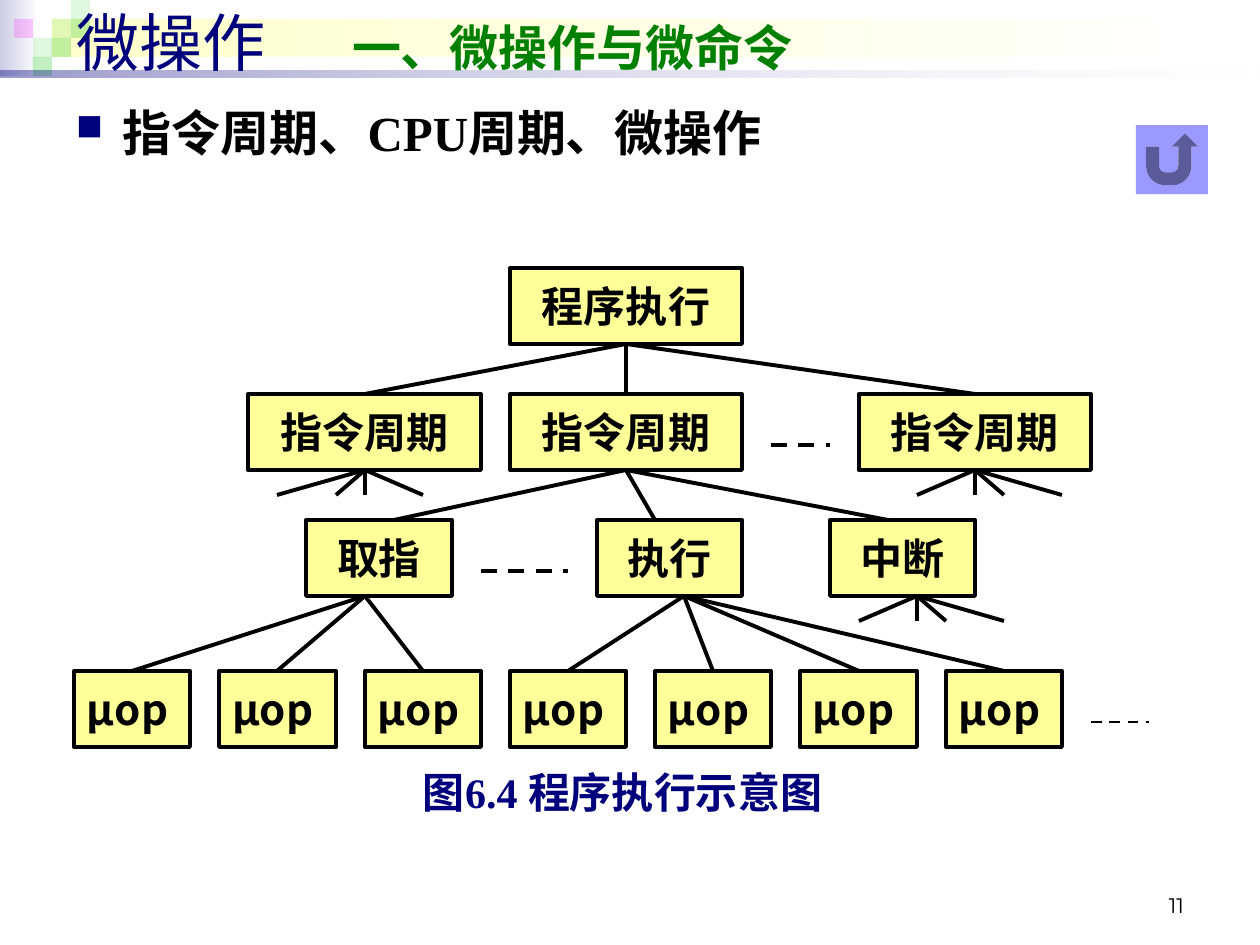
from lxml.etree import SubElement as Sub
from pptx import Presentation
from pptx.dml.color import RGBColor as RGB
from pptx.enum.dml import MSO_LINE as Dash
from pptx.enum.shapes import MSO_CONNECTOR as Conn, MSO_SHAPE as Geo
from pptx.enum.text import MSO_ANCHOR as Anchor, PP_ALIGN as Align
from pptx.oxml.ns import qn
from pptx.util import Pt

SCALE = 914400 / 126
CJK = "Noto Sans CJK SC"
SERIF = "Times New Roman"
BLACK, NAVY, GREEN = "000000", "00007D", "33CC33"
HIGH = 76
ROWS = [268, 394, 520, 671]


def px(n):
    return round(n * SCALE)


def area(*box):
    return [px(n) for n in box]


def col(n):
    return round(74 + 29.06 * n)


def color(code):
    return RGB.from_string(code)


def fade(shape, *alphas):
    for tint, alpha in zip(shape.element.spPr.iter(qn("a:srgbClr")), alphas):
        Sub(tint, qn("a:alpha"), val=str(alpha * 1000))


def style(font, size, name, code, bold=False):
    font.size, font.name, font.bold = Pt(size), name, bold
    font.color.rgb = color(code)


def east(part):
    for props in part.element.iter(qn("a:rPr"), qn("a:defRPr")):
        latin = props.find(qn("a:latin"))
        if latin is not None:
            face = latin.makeelement(qn("a:ea"), {"typeface": CJK})
            latin.addnext(face)


def block(slide, box, fill, geo=Geo.RECTANGLE):
    shape = slide.shapes.add_shape(geo, *area(*box))
    shape.shadow.inherit = False
    shape.line.fill.background()
    shape.fill.solid()
    shape.fill.fore_color.rgb = color(fill)
    return shape


def blend(slide, box, code, *alphas):
    shape = block(slide, box, code)
    shape.fill.gradient()
    shape.fill.gradient_angle = 180
    for stop, tint in zip(shape.fill.gradient_stops, ("FFFFFF", code)):
        stop.color.rgb = color(tint)
    fade(shape, *alphas)


def write(shape, text, size, name, code, bold, align, anchor, pad=(13, 6)):
    frame = shape.text_frame
    frame.word_wrap = True
    frame.vertical_anchor = anchor
    frame.margin_left = frame.margin_right = px(pad[0])
    frame.margin_top = frame.margin_bottom = px(pad[1])
    para = frame.paragraphs[0]
    para.text, para.alignment = text, align
    return para, lambda: (style(para.font, size, name, code, bold), east(shape))


def node(slide, n, row, wide, text, align=Align.CENTER):
    shape = block(slide, (col(n), ROWS[row], col(n + wide) - col(n), HIGH), "FFFF99")
    shape.line.color.rgb = color(BLACK)
    shape.line.width = Pt(2.25)
    _, finish = write(shape, text, 24, CJK, BLACK, True, align, Anchor.MIDDLE, (13, 0))
    finish()


def line(slide, start, end, width=2.25, dash=False):
    link = slide.shapes.add_connector(Conn.STRAIGHT, *area(*start, *end))
    link.line.color.rgb = color(BLACK)
    link.line.width = Pt(width)
    if dash:
        link.line.dash_style = Dash.DASH
    Sub(link.element.spPr, qn("a:effectLst"))


def fan(slide, n, row, ends, drop=None):
    top = ROWS[row] + HIGH
    low = top + drop if drop else ROWS[row + 1]
    for end in ends:
        line(slide, (col(n), top), (col(end), low))


def decor(slide):
    blend(slide, (0, 0, 39, 76), "CCCCE6")
    blend(slide, (52, 19, 1203, 38), "FFFFCC")
    tiles = [(52, 19, GREEN, 15), (71, 0, GREEN, 15), (71, 19, GREEN, 30),
             (33, 38, GREEN, 15), (14, 19, "FF00FF", 20), (52, 38, GREEN, 30),
             (33, 57, GREEN, 30)]
    for x, y, code, alpha in tiles:
        fade(block(slide, (x, y, 19, 19), code), alpha)
    blend(slide, (0, 71, 1260, 7), NAVY, 10, 40)


def heading(slide):
    title = slide.shapes.title
    title.element.getparent().append(title.element)
    title.left, title.top, title.width, title.height = area(64, -4, 1181, 90)
    para, _ = write(title, "", 36, "Arial", NAVY, False, Align.LEFT, Anchor.MIDDLE)
    tabs = Sub(para._p.get_or_add_pPr(), qn("a:tabLst"))
    Sub(tabs, qn("a:tab"), pos=str(px(275)), algn="l")
    first, second = para.add_run(), para.add_run()
    first.text, second.text = "微操作\t", "一、微操作与微命令"
    style(first.font, 36, "Arial", NAVY)
    style(second.font, 28, "Arial", "008000", True)
    east(title)


def bullet(slide):
    shape = slide.shapes.add_textbox(*area(63, 96, 1182, 169))
    para, finish = write(shape, "指令周期、CPU周期、微操作", 28, SERIF, BLACK, True,
                         Align.LEFT, Anchor.TOP)
    props = para._p.get_or_add_pPr()
    props.set("marL", str(px(47)))
    props.set("indent", str(px(-47)))
    Sub(Sub(props, qn("a:buClr")), qn("a:srgbClr"), val=NAVY)
    Sub(props, qn("a:buSzPct"), val="75000")
    Sub(props, qn("a:buChar"), char="■")
    finish()


def tree(slide):
    node(slide, 15, 0, 8, "程序执行")
    for n in (6, 15, 27):
        node(slide, n, 1, 8, "指令周期")
    for n, text in ((8, "取指"), (18, "执行"), (26, "中断")):
        node(slide, n, 2, 5, text)
    for n in range(0, 35, 5):
        node(slide, n, 3, 4, "μop", Align.JUSTIFY)

    fan(slide, 19, 0, (10, 19, 31))
    fan(slide, 19, 1, (11, 20, 28))
    fan(slide, 10, 2, range(2, 13, 5))
    fan(slide, 21, 2, range(17, 33, 5))
    for n, row, side in ((10, 1, 1), (31, 1, -1), (29, 2, -1)):
        fan(slide, n, row, [n + side * step for step in (-3, -1, 0, 2)], 25)
    for n, end, y, width in ((24, 26, 445, 2.25), (14, 17, 571, 2.25), (35, 37, 722, 1.5)):
        line(slide, (col(n), y), (col(end), y), width, True)


def main():
    deck = Presentation()
    deck.slide_width, deck.slide_height = area(1260, 945)
    slide = deck.slides.add_slide(deck.slide_layouts[5])
    decor(slide)
    heading(slide)
    bullet(slide)
    tree(slide)
    label = block(slide, (423, 767, 410, 50), "FFFFFF")
    label.fill.background()
    _, finish = write(label, "图6.4 程序执行示意图", 24, SERIF, NAVY, True,
                      Align.JUSTIFY, Anchor.MIDDLE, (0, 0))
    finish()
    block(slide, (1136, 125, 72, 69), "9999FF", Geo.ACTION_BUTTON_RETURN)
    page = slide.shapes.add_textbox(*area(903, 861, 294, 63))
    _, finish = write(page, "11", 12, "Montserrat", BLACK, False,
                      Align.RIGHT, Anchor.BOTTOM)
    finish()
    deck.save("out.pptx")


if __name__ == "__main__":
    main()
